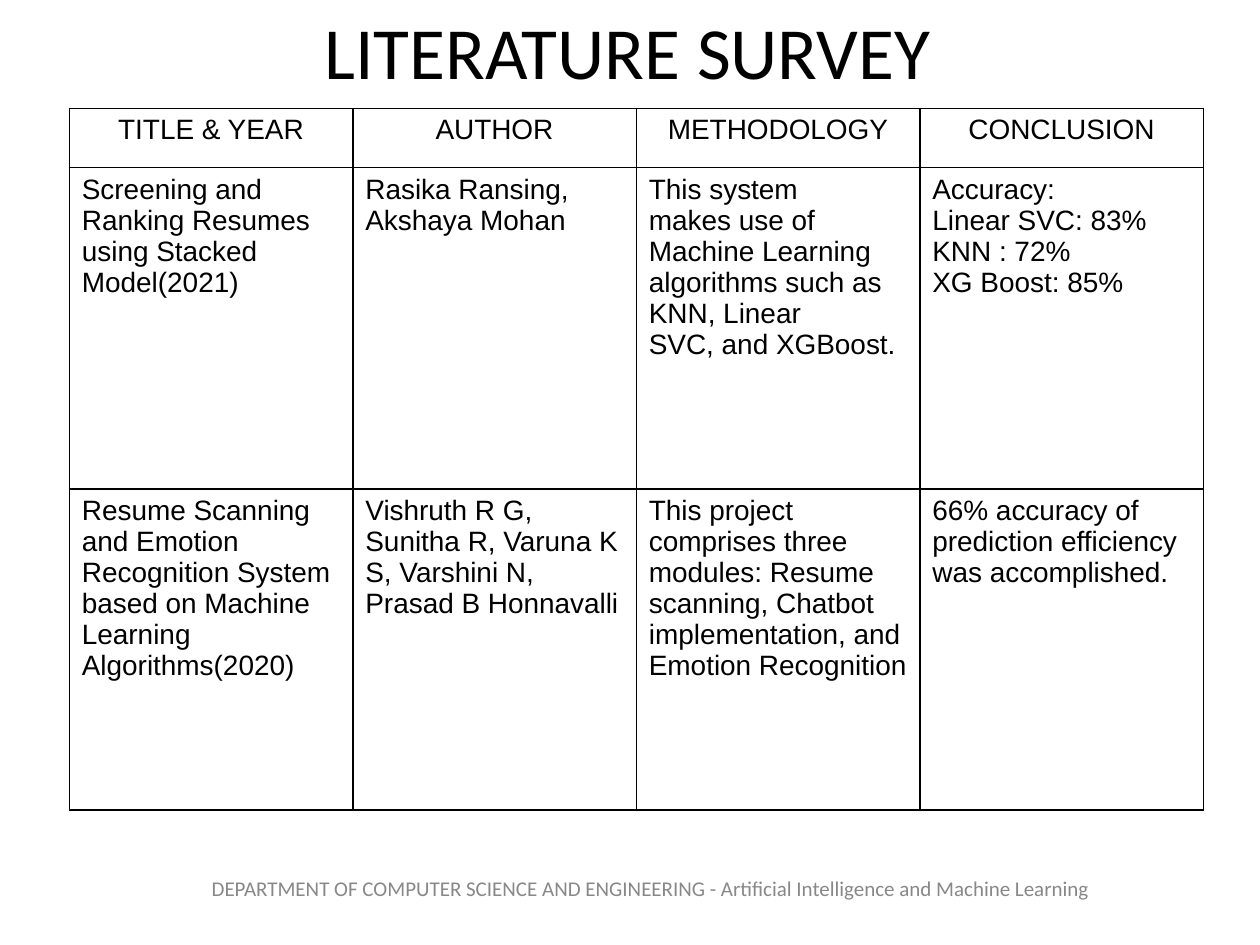
from dataclasses import dataclass

from lxml.etree import SubElement
from pptx import Presentation
from pptx.dml.color import RGBColor
from pptx.enum.text import MSO_ANCHOR, MSO_AUTO_SIZE, PP_ALIGN
from pptx.oxml import parse_xml
from pptx.oxml.ns import nsdecls, qn
from pptx.util import Inches, Pt

BLACK = RGBColor(0x00, 0x00, 0x00)
GRAY = RGBColor(0x88, 0x88, 0x88)

HEADINGS = ("TITLE & YEAR", "AUTHOR", "METHODOLOGY", "CONCLUSION")
COLUMN_WIDTH = 2.25
ROW_HEIGHTS = (0.47, 2.55, 2.55)


@dataclass
class Study:
    title: str
    authors: str
    methodology: str
    conclusion: str

    def fields(self) -> tuple[str, ...]:
        return self.title, self.authors, self.methodology, self.conclusion


STUDIES = (
    Study(
        "Screening and Ranking Resumes using Stacked Model(2021)",
        "Rasika Ransing, Akshaya Mohan",
        "This system\n"
        "makes use of Machine Learning algorithms such as KNN, Linear\n"
        "SVC, and XGBoost.",
        "Accuracy:\nLinear SVC: 83%\nKNN : 72%\nXG Boost: 85%",
    ),
    Study(
        "Resume Scanning and Emotion Recognition System based on "
        "Machine Learning Algorithms(2020)",
        "Vishruth R G, Sunitha R, Varuna K S, Varshini N, Prasad B Honnavalli",
        "This project comprises three modules: Resume scanning, Chatbot "
        "implementation, and Emotion Recognition",
        "66% accuracy of prediction efficiency was accomplished.",
    ),
)


def write(frame, text: str, font: str, size: int, color: RGBColor,
          align: PP_ALIGN) -> None:
    frame.text = text
    for paragraph in frame.paragraphs:
        paragraph.alignment = align
        for run in paragraph.runs:
            run.font.name = font
            run.font.size = Pt(size)
            run.font.color.rgb = color


def add_borders(cell) -> None:
    properties = cell._tc.get_or_add_tcPr()
    for position, side in enumerate(("lnL", "lnR", "lnT", "lnB")):
        line = parse_xml(f'<a:{side} {nsdecls("a")} w="{Pt(1)}"/>')
        fill = SubElement(line, qn("a:solidFill"))
        SubElement(fill, qn("a:srgbClr"), val=str(BLACK))
        properties.insert(position, line)


def add_survey_table(slide, studies: tuple[Study, ...]) -> None:
    rows = [HEADINGS] + [study.fields() for study in studies]
    survey = slide.shapes.add_table(
        len(rows), len(HEADINGS), Inches(0.55), Inches(0.86),
        Inches(COLUMN_WIDTH * len(HEADINGS)), Inches(sum(ROW_HEIGHTS))).table
    survey.first_row = survey.horz_banding = False
    for column in survey.columns:
        column.width = Inches(COLUMN_WIDTH)
    for r, (texts, height) in enumerate(zip(rows, ROW_HEIGHTS)):
        survey.rows[r].height = Inches(height)
        align = PP_ALIGN.CENTER if r == 0 else PP_ALIGN.LEFT
        for c, text in enumerate(texts):
            cell = survey.cell(r, c)
            write(cell.text_frame, text, "Arial", 16, BLACK, align)
            cell.fill.background()
            add_borders(cell)


def main() -> None:
    presentation = Presentation()
    presentation.slide_width = Inches(10)
    presentation.slide_height = Inches(7.5)
    slide = presentation.slides.add_slide(presentation.slide_layouts[5])

    # Footer
    footer = slide.shapes.add_textbox(
        Inches(1.33), Inches(6.95), Inches(7.67), Inches(0.4)).text_frame
    footer.word_wrap = True
    footer.margin_top = 0
    write(footer,
          "DEPARTMENT OF COMPUTER SCIENCE AND ENGINEERING - "
          "Artificial Intelligence and Machine Learning",
          "Calibri", 12, GRAY, PP_ALIGN.CENTER)

    # Title, its left margin centring the words on the slide
    title = slide.shapes.title
    title.left, title.top = Inches(-0.05), Inches(-0.23)
    title.width, title.height = Inches(9), Inches(1.25)
    heading = title.text_frame
    heading.auto_size = MSO_AUTO_SIZE.NONE
    heading.vertical_anchor = MSO_ANCHOR.MIDDLE
    heading.margin_left = Inches(1.16)
    write(heading, "LITERATURE SURVEY", "Calibri", 42, BLACK, PP_ALIGN.CENTER)

    # Survey table
    add_survey_table(slide, STUDIES)

    presentation.save("out.pptx")


if __name__ == "__main__":
    main()
